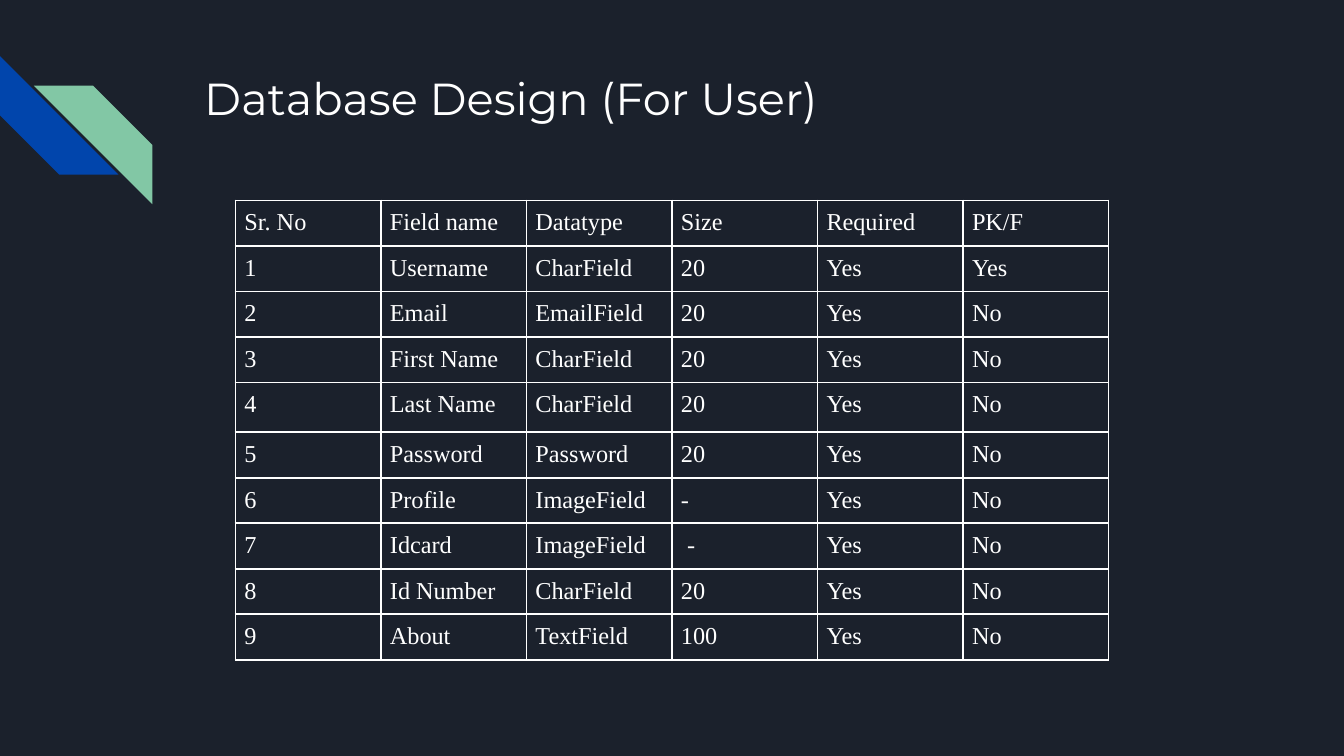
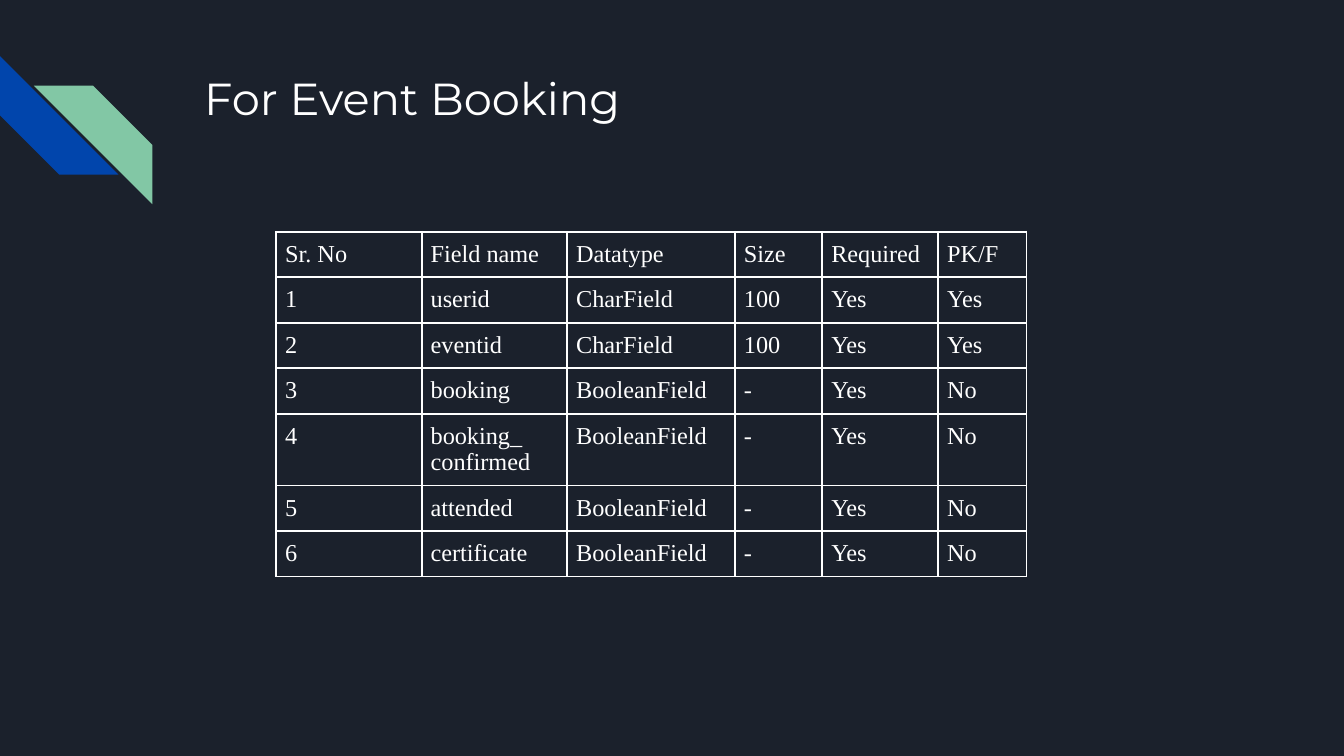
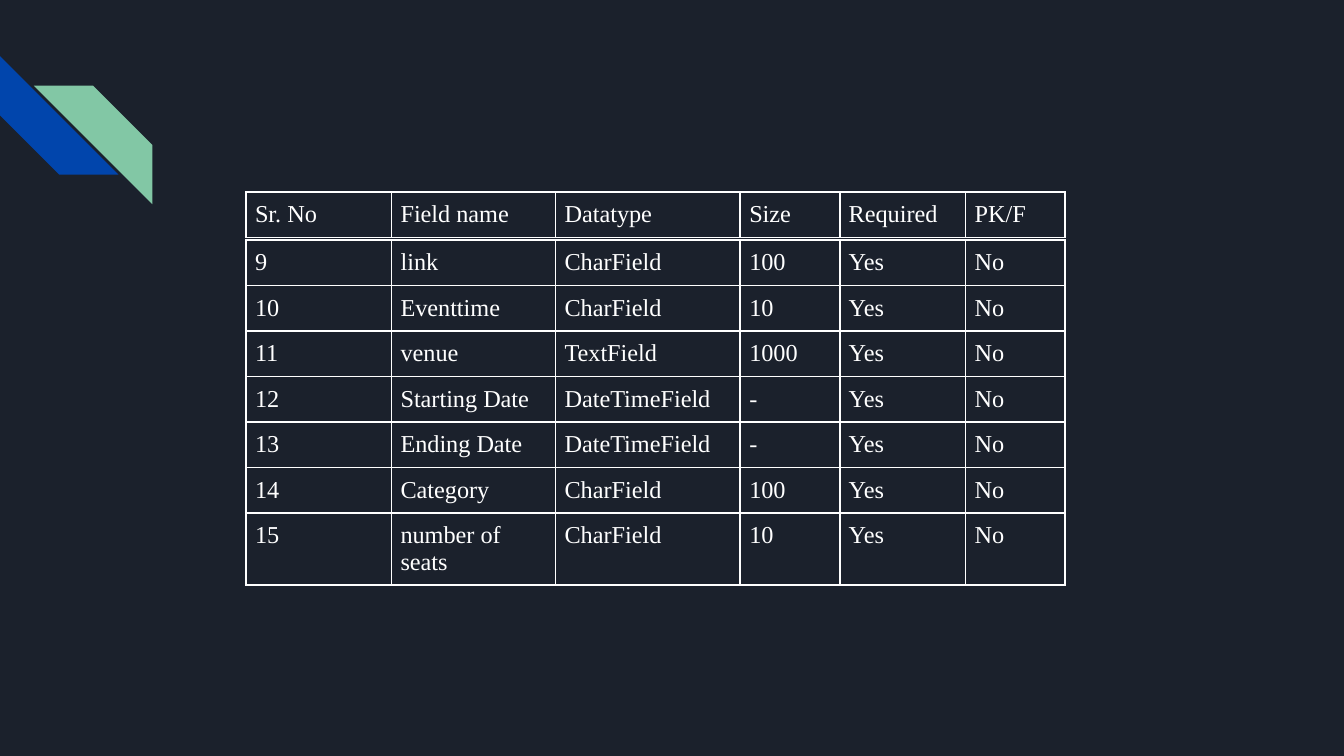
"""Build three database design slides with field tables."""
import lxml.etree
import pptx
import pptx.dml.color
import pptx.enum.shapes
import pptx.enum.text
import pptx.oxml.ns
import pptx.util

Cm = pptx.util.Cm
Pt = pptx.util.Pt
RGBColor = pptx.dml.color.RGBColor
qn = pptx.oxml.ns.qn

NAVY = RGBColor(0x1B, 0x21, 0x2C)
BLUE = RGBColor(0x01, 0x45, 0xAC)
GREEN = RGBColor(0x82, 0xC7, 0xA5)
WHITE = RGBColor(0xFF, 0xFF, 0xFF)

TITLE_FONT = "Montserrat"
TABLE_FONT = "Times New Roman"
TITLE_ONLY, BLANK = 5, 6

TITLE_BOX = (3.61, 1.09, 19.56, 2.54)
STRIPES_BOX = (0, 1.06, 2.88, 2.8)
STRIPE_SIZE = 2.24
ROW_HEIGHT = 0.86
TWO_LINE_HEIGHT = 1.36
CELL_MARGIN = 0.17

HEADER = ("Sr. No", "Field name", "Datatype", "Size", "Required", "PK/F")
USER_FIELDS = [
    ("1", "Username", "CharField", "20", "Yes", "Yes"),
    ("2", "Email", "EmailField", "20", "Yes", "No"),
    ("3", "First Name", "CharField", "20", "Yes", "No"),
    ("4", "Last Name", "CharField", "20", "Yes", "No"),
    ("5", "Password", "Password", "20", "Yes", "No"),
    ("6", "Profile", "ImageField", "-", "Yes", "No"),
    ("7", "Idcard", "ImageField", " -", "Yes", "No"),
    ("8", "Id Number", "CharField", "20", "Yes", "No"),
    ("9", "About", "TextField", "100", "Yes", "No"),
]
BOOKING_FIELDS = [
    ("1", "userid", "CharField", "100", "Yes", "Yes"),
    ("2", "eventid", "CharField", "100", "Yes", "Yes"),
    ("3", "booking", "BooleanField", "-", "Yes", "No"),
    ("4", "booking_\nconfirmed", "BooleanField", "-", "Yes", "No"),
    ("5", "attended", "BooleanField", "-", "Yes", "No"),
    ("6", "certificate", "BooleanField", "-", "Yes", "No"),
]
EVENT_FIELDS = [
    ("9", "link", "CharField", "100", "Yes", "No"),
    ("10", "Eventtime", "CharField", "10", "Yes", "No"),
    ("11", "venue", "TextField", "1000", "Yes", "No"),
    ("12", "Starting Date", "DateTimeField", "-", "Yes", "No"),
    ("13", "Ending Date", "DateTimeField", "-", "Yes", "No"),
    ("14", "Category", "CharField", "100", "Yes", "No"),
    ("15", "number of seats", "CharField", "10", "Yes", "No"),
]
USER_COLUMNS = [2.75] * 6
BOOKING_COLUMNS = [2.75, 2.75, 3.17, 1.65, 2.19, 1.67]
EVENT_COLUMNS = [2.75, 3.1, 3.49, 1.88, 2.38, 1.88]


def add_run(p, text, font, size):
    """Add one white run to a paragraph."""
    r = p.add_run()
    r.text = text
    r.font.name = font
    r.font.size = Pt(size)
    r.font.color.rgb = WHITE


def style_master(prs, slide, box):
    """Give the master its background and corner stripes, drawn through a slide."""
    master = prs.slide_master
    master.background.fill.solid()
    master.background.fill.fore_color.rgb = NAVY
    left, top, width, height = box
    stripes = [
        (left, top, BLUE, 270, False),
        (left + width - STRIPE_SIZE, top + height - STRIPE_SIZE, GREEN, 0, True),
    ]
    for i, (x, y, color, rotation, flipped) in enumerate(stripes):
        sp = slide.shapes.add_shape(
            pptx.enum.shapes.MSO_SHAPE.DIAGONAL_STRIPE,
            Cm(x), Cm(y), Cm(STRIPE_SIZE), Cm(STRIPE_SIZE))
        sp.adjustments[0] = 0.5
        sp.rotation = rotation
        sp.shadow.inherit = False
        sp.fill.solid()
        sp.fill.fore_color.rgb = color
        sp.line.fill.background()
        if flipped:
            sp.element.spPr.find(qn("a:xfrm")).set("flipH", "1")
        sp.element.find(".//" + qn("p:cNvPr")).set("id", str(101 + i))
        master.element.cSld.spTree.insert(2 + i, sp.element)


def add_title(slide, text, box):
    """Place and fill the title placeholder."""
    sp = slide.shapes.title
    sp.left, sp.top, sp.width, sp.height = map(Cm, box)
    tf = sp.text_frame
    tf.word_wrap = True
    tf.auto_size = pptx.enum.text.MSO_AUTO_SIZE.NONE
    tf.vertical_anchor = pptx.enum.text.MSO_ANCHOR.TOP
    tf.margin_left = tf.margin_right = tf.margin_top = tf.margin_bottom = Cm(0.25)
    p = tf.paragraphs[0]
    p.alignment = pptx.enum.text.PP_ALIGN.LEFT
    add_run(p, text, TITLE_FONT, 24)


def add_borders(cell):
    """Draw a thin white line on every side of a cell."""
    tc_pr = cell._tc.get_or_add_tcPr()
    for side in ("a:lnL", "a:lnR", "a:lnT", "a:lnB"):
        ln = lxml.etree.SubElement(tc_pr, qn(side), w=str(Pt(1)))
        fill = lxml.etree.SubElement(ln, qn("a:solidFill"))
        lxml.etree.SubElement(fill, qn("a:srgbClr"), val=str(WHITE))


def fill_cell(cell, text):
    """Write a cell, one paragraph a line, and format it."""
    cell.margin_left = cell.margin_right = Cm(CELL_MARGIN)
    cell.margin_top = cell.margin_bottom = Cm(CELL_MARGIN)
    add_borders(cell)
    cell.fill.background()
    tf = cell.text_frame
    for i, line in enumerate(text.split("\n")):
        p = tf.add_paragraph() if i else tf.paragraphs[0]
        add_run(p, line, TABLE_FONT, 13)


def add_field_table(slide, left, top, columns, rows, tall_rows=None):
    """Add a field table; tall_rows maps row numbers to special heights."""
    heights = [(tall_rows or {}).get(i, ROW_HEIGHT) for i in range(len(rows))]
    table = slide.shapes.add_table(
        len(rows), len(columns), Cm(left), Cm(top),
        Cm(sum(columns)), Cm(sum(heights))).table
    table.first_row = table.horz_banding = False
    for column, width in zip(table.columns, columns):
        column.width = Cm(width)
    for row, height, texts in zip(table.rows, heights, rows):
        row.height = Cm(height)
        for cell, text in zip(row.cells, texts):
            fill_cell(cell, text)


def main():
    """Build and save the slides."""
    prs = pptx.Presentation()
    prs.slide_width, prs.slide_height = Cm(25.4), Cm(14.29)
    user, booking, event = [
        prs.slides.add_slide(prs.slide_layouts[i])
        for i in (TITLE_ONLY, TITLE_ONLY, BLANK)]
    style_master(prs, user, STRIPES_BOX)

    add_title(user, "Database Design (For User)", TITLE_BOX)
    add_field_table(user, 4.45, 3.79, USER_COLUMNS, [HEADER] + USER_FIELDS, {4: 0.94})

    add_title(booking, "For Event Booking", TITLE_BOX)
    add_field_table(booking, 5.22, 4.38, BOOKING_COLUMNS,
                    [HEADER] + BOOKING_FIELDS, {4: TWO_LINE_HEIGHT})

    add_field_table(event, 4.65, 4.54, EVENT_COLUMNS, EVENT_FIELDS, {6: TWO_LINE_HEIGHT})
    add_field_table(event, 4.65, 3.63, EVENT_COLUMNS, [HEADER])

    prs.save("out.pptx")


if __name__ == "__main__":
    main()
